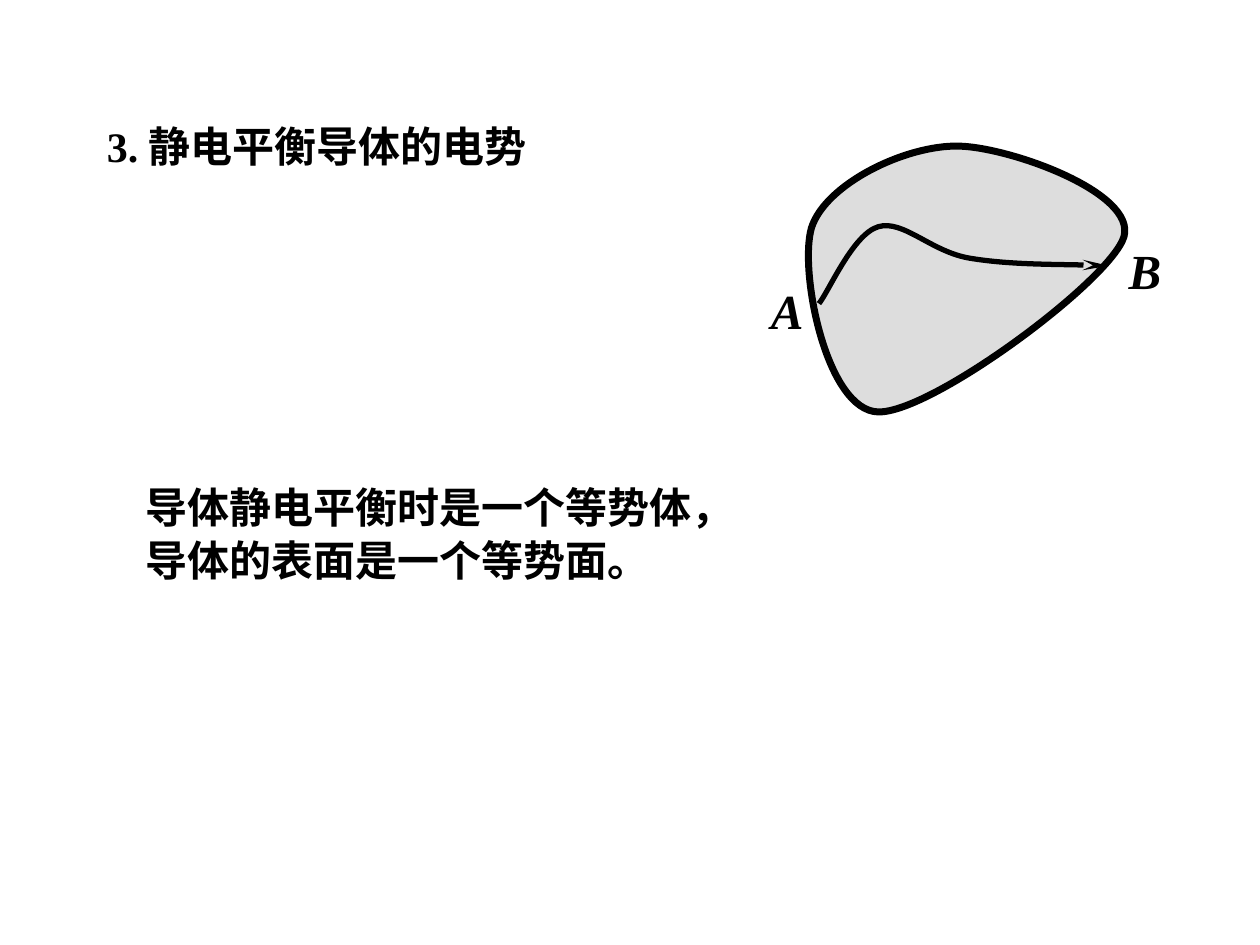
from dataclasses import dataclass

from lxml import etree
from pptx import Presentation
from pptx import util as u
from pptx.dml.color import RGBColor
from pptx.enum import text
from pptx.oxml import ns


@dataclass(frozen=True)
class Theme:
    font: str = "Times New Roman"
    ink: RGBColor = RGBColor(0, 0, 0)
    conductor: RGBColor = RGBColor(0xDD, 0xDD, 0xDD)
    body: int = 24
    label: int = 28
    outline: int = 4
    route: int = 3


THEME = Theme()


def add_text(s, content, left, top, width, height, size=THEME.body,
             italic=False, wrap=True, line_spacing=None):
    box = s.shapes.add_textbox(*map(u.Inches, (left, top, width, height)))
    tf = box.text_frame
    tf.word_wrap = wrap
    tf.auto_size = text.MSO_AUTO_SIZE.SHAPE_TO_FIT_TEXT
    p = tf.paragraphs[0]
    p.line_spacing = line_spacing
    r = p.add_run()
    r.text = content
    r.font.name = THEME.font
    r.font.size = u.Pt(size)
    r.font.bold = True
    r.font.italic = italic
    r.font.color.rgb = THEME.ink


def bend_segments(sp):
    lines = list(sp.element.iter(ns.qn("a:lnTo")))
    for i in range(0, len(lines), 3):
        curve = etree.Element(ns.qn("a:cubicBezTo"))
        lines[i].addprevious(curve)
        for line in lines[i:i + 3]:
            curve.append(line[0])
            line.getparent().remove(line)


def add_curve(s, knots, width, fill=None):
    start, *rest = [tuple(map(u.Inches, knot)) for knot in knots]
    builder = s.shapes.build_freeform(*start)
    builder.add_line_segments(rest, close=fill is not None)
    sp = builder.convert_to_shape()
    bend_segments(sp)
    sp.shadow.inherit = False
    sp.line.color.rgb = THEME.ink
    sp.line.width = u.Pt(width)
    if fill is None:
        sp.fill.background()
    else:
        sp.fill.solid()
        sp.fill.fore_color.rgb = fill
    etree.SubElement(sp.line._get_or_add_ln(), ns.qn("a:round"))
    return sp


def add_arrowhead(sp):
    etree.SubElement(sp.line._get_or_add_ln(), ns.qn("a:tailEnd"),
                     type="stealth", w="sm", len="lg")


def main():
    prs = Presentation()
    prs.slide_width, prs.slide_height = u.Inches(10), u.Inches(7.5)
    s = prs.slides.add_slide(prs.slide_layouts[6])

    add_text(s, "3. 静电平衡导体的电势", 0.75, 0.91, 3.66, 0.5)
    add_text(s, "导体静电平衡时是一个等势体，导体的表面是一个等势面。",
             1.06, 3.75, 5.16, 0.94, line_spacing=1.05)

    conductor = [(6.44, 1.81), (6.55, 1.46), (7.19, 1.15), (7.61, 1.16),
                 (8.02, 1.17), (9.02, 1.53), (8.92, 1.88),
                 (8.81, 2.23), (7.39, 3.28), (6.97, 3.27),
                 (6.56, 3.26), (6.34, 2.16), (6.44, 1.81)]
    add_curve(s, conductor, THEME.outline, fill=THEME.conductor)

    route = [(6.5, 2.41), (6.58, 2.31), (6.77, 1.86), (6.97, 1.8),
             (7.17, 1.74), (7.39, 2), (7.7, 2.05),
             (8, 2.1), (8.61, 2.1), (8.8, 2.11)]
    add_arrowhead(add_curve(s, route, THEME.route))

    for name, left, top, width in (("A", 6.02, 2.18, 0.48), ("B", 8.86, 1.86, 0.46)):
        add_text(s, name, left, top, width, 0.57, size=THEME.label,
                 italic=True, wrap=False)

    prs.save("out.pptx")


if __name__ == "__main__":
    main()
